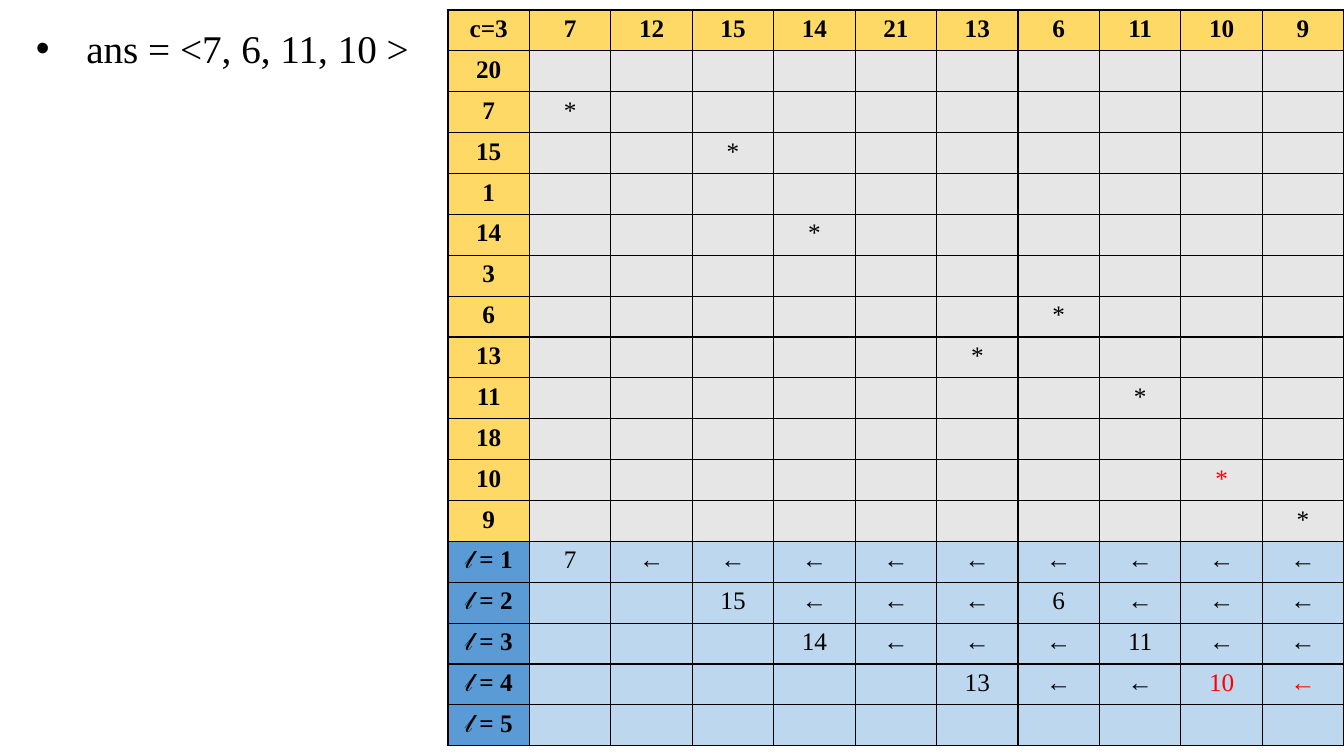
from lxml.etree import SubElement
from pptx import Presentation
from pptx.dml.color import RGBColor as Rgb
from pptx.enum.text import PP_ALIGN as Align
from pptx.oxml.ns import qn
from pptx.util import Pt

PX = 12192000 / 1344
FONT = "Times New Roman"
COLORS = {
    "ink": "000000",
    "answer": "FF0000",
    "sequence": "FFD966",
    "match": "E7E6E6",
    "length": "5B9BD5",
    "entry": "BDD7EE",
}

ACROSS = [7, 12, 15, 14, 21, 13, 6, 11, 10, 9]
DOWN = [20, 7, 15, 1, 14, 3, 6, 13, 11, 18, 10, 9]
# For each length, the values that start a new run of arrows
LENGTH_ENTRIES = [[7], [15, 6], [14, 11], [13, 10], []]
ANSWER_CELLS = {(11, 9), (16, 9), (16, 10)}


def px(length):
    return round(length * PX)


def style_font(font, size, color="ink", bold=False):
    font.name = FONT
    font.size = Pt(size)
    font.bold = bold
    font.color.rgb = Rgb.from_string(COLORS[color])


def add_bullet_text(page, text, left, top, width, height):
    box = page.shapes.add_textbox(px(left), px(top), px(width), px(height))
    box.text_frame.word_wrap = True
    para = box.text_frame.paragraphs[0]
    para.text = text
    properties = para._p.get_or_add_pPr()
    properties.set("marL", "457200")
    properties.set("indent", "-457200")
    SubElement(properties, qn("a:buFont"), typeface="Arial")
    SubElement(properties, qn("a:buChar"), char="•")
    style_font(para.font, 28)


def match_row(value):
    return [value] + ["*" if value == other else "" for other in ACROSS]


def length_row(length, entries):
    """Show each new entry, followed by arrows that carry it to the right."""
    row = [f"𝓁 = {length}"]
    carried = False
    for value in ACROSS:
        if value in entries:
            row.append(value)
            carried = True
        else:
            row.append("←" if carried else "")
    return row


def add_borders(cell):
    properties = cell._tc.get_or_add_tcPr()
    for index, side in enumerate(("a:lnL", "a:lnR", "a:lnT", "a:lnB")):
        line = properties.makeelement(qn(side), {"w": str(Pt(1))})
        properties.insert(index, line)
        fill = SubElement(line, qn("a:solidFill"))
        SubElement(fill, qn("a:srgbClr"), val=COLORS["ink"])


def fill_name(row, column):
    if row > len(DOWN):
        return "entry" if column else "length"
    return "match" if row and column else "sequence"


def add_grid(page, rows, left, top, width, height):
    table = page.shapes.add_table(
        len(rows), len(rows[0]), px(left), px(top), px(width), px(height)
    ).table
    for column in table.columns:
        column.width = px(width / len(rows[0]))
    for row in table.rows:
        row.height = px(height / len(rows))
    for i, values in enumerate(rows):
        for j, value in enumerate(values):
            cell = table.cell(i, j)
            cell.fill.solid()
            cell.fill.fore_color.rgb = Rgb.from_string(COLORS[fill_name(i, j)])
            add_borders(cell)
            para = cell.text_frame.paragraphs[0]
            para.text = str(value)
            para.alignment = Align.CENTER
            color = "answer" if (i, j) in ANSWER_CELLS else "ink"
            style_font(para.font, 18, color, bold=i == 0 or j == 0)


def main():
    deck = Presentation()
    deck.slide_width, deck.slide_height = px(1344), px(756)
    page = deck.slides.add_slide(deck.slide_layouts[6])
    rows = [["c=3"] + ACROSS]
    rows += [match_row(value) for value in DOWN]
    rows += [length_row(n, entries) for n, entries in enumerate(LENGTH_ENTRIES, 1)]
    add_grid(page, rows, 448, 10, 896, 736)
    add_bullet_text(page, "ans = <7, 6, 11, 10 >", 26, 19, 422, 201)
    deck.save("out.pptx")


if __name__ == "__main__":
    main()
